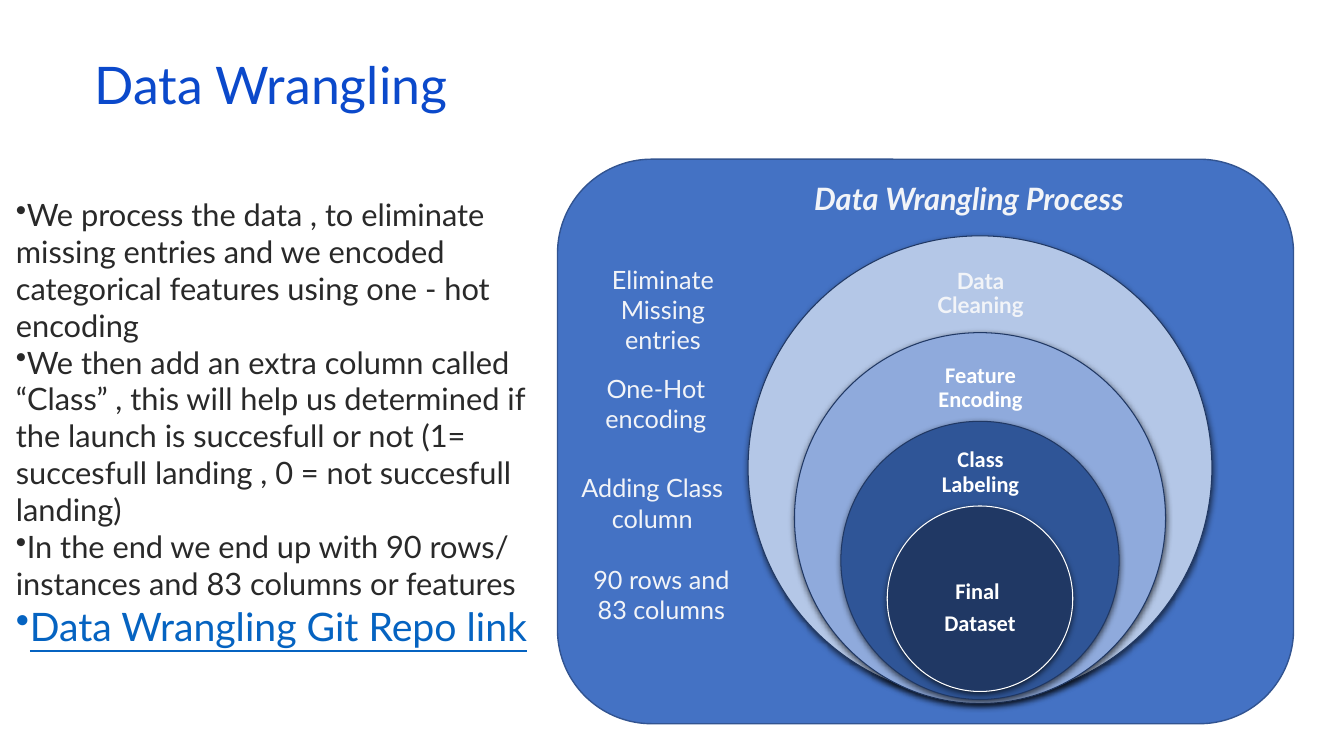
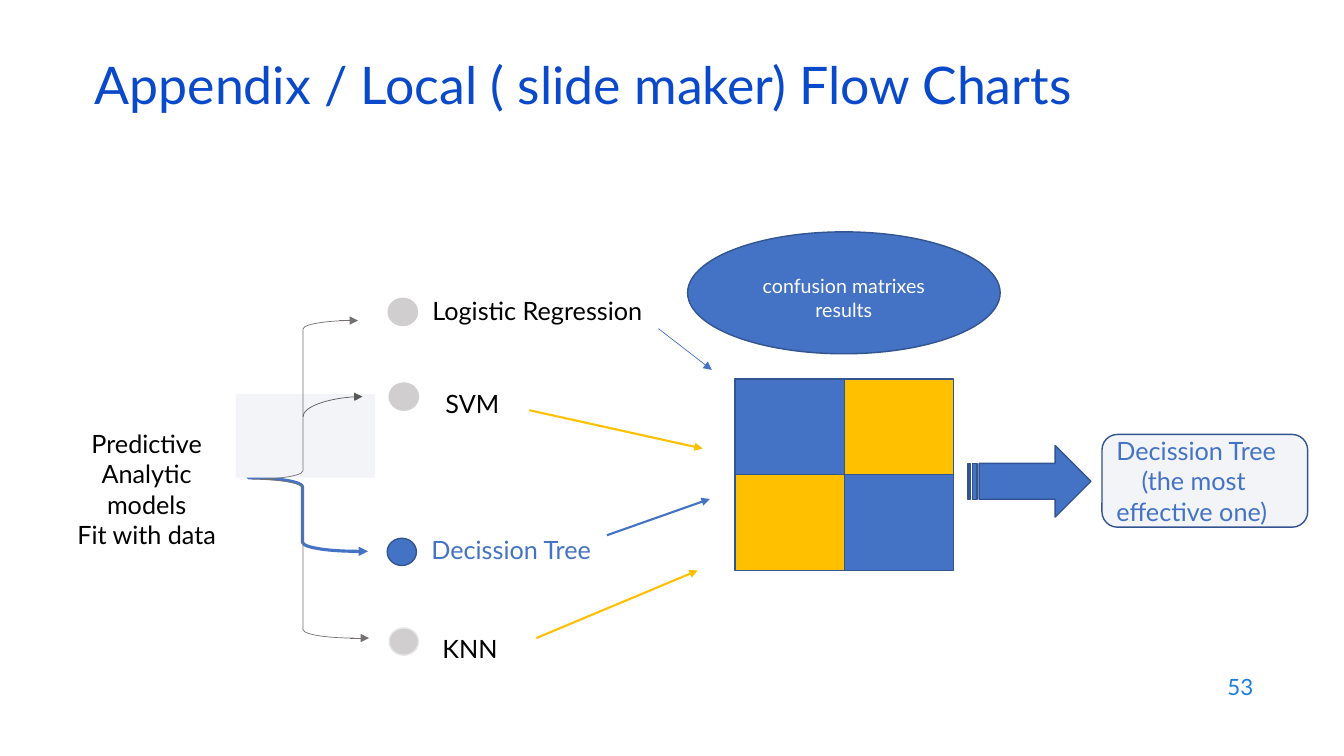
from dataclasses import dataclass
from pptx import Presentation
from pptx.dml.color import RGBColor
from pptx.enum.shapes import MSO_CONNECTOR, MSO_SHAPE
from pptx.enum.text import MSO_ANCHOR, MSO_AUTO_SIZE, PP_ALIGN
from pptx.oxml.ns import qn
from pptx.util import Inches, Pt
from lxml import etree

LEFT, MID, RIGHT = PP_ALIGN.LEFT, PP_ALIGN.CENTER, PP_ALIGN.RIGHT
TOP, CENTER = MSO_ANCHOR.TOP, MSO_ANCHOR.MIDDLE
FIXED = MSO_AUTO_SIZE.NONE
RECT, ROUND = MSO_SHAPE.RECTANGLE, MSO_SHAPE.ROUNDED_RECTANGLE
OVAL, DOT = MSO_SHAPE.OVAL, MSO_SHAPE.FLOWCHART_CONNECTOR
BRACE, ARROW = MSO_SHAPE.LEFT_BRACE, MSO_SHAPE.STRIPED_RIGHT_ARROW
LINE, CURVE = MSO_CONNECTOR.STRAIGHT, MSO_CONNECTOR.CURVE


@dataclass(frozen=True)
class Theme:
    font: str = "Lato"
    alt: str = "Calibri"
    title: str = "0B49CB"
    body: str = "292929"
    link: str = "0563C1"
    number: str = "1C7DDB"
    blue: str = "4472C4"
    edge: str = "325491"
    navy: str = "203864"
    gold: str = "FFC000"
    pale: str = "F2F4F8"
    white: str = "FFFFFF"
    black: str = "000000"
    silver: str = "D0CECE"
    mist: str = "E7E6E6"
    gray: str = "767171"
    dark: str = "595959"
    head: int = 37
    big: int = 28
    text: int = 22
    label: int = 18
    small: int = 16
    note: int = 14


T = Theme()


def color(code):
    return RGBColor.from_string(code)


def style(para, size, tint, font=T.font, bold=False, slant=False):
    for run in para.runs:
        face = run.font
        face.name, face.size = font, Pt(size)
        face.bold, face.italic = bold, slant
        face.color.rgb = color(tint)


def write(shape, lines, size, tint, align=LEFT, anchor=TOP, **look):
    frame = shape.text_frame
    frame.word_wrap = True
    frame.auto_size = FIXED
    frame.vertical_anchor = anchor
    frame.text = lines
    for para in frame.paragraphs:
        para.alignment = align
        style(para, size, tint, **look)
    return frame


def label(slide, box, lines, size, tint, align=LEFT, anchor=TOP, **look):
    shape = slide.shapes.add_textbox(*map(Inches, box))
    return write(shape, lines, size, tint, align, anchor, **look)


def draw(slide, kind, box, fill=None, line=None, width=1):
    shape = slide.shapes.add_shape(kind, *map(Inches, box))
    shape.shadow.inherit = False
    if fill:
        shape.fill.solid()
        shape.fill.fore_color.rgb = color(fill)
    else:
        shape.fill.background()
    if line:
        shape.line.color.rgb = color(line)
        shape.line.width = Pt(width)
    else:
        shape.line.fill.background()
    return shape


def shade(shape):
    effects = shape._element.spPr.find(qn("a:effectLst"))
    outer = etree.SubElement(
        effects, qn("a:outerShdw"), blurRad=str(Pt(4.5)), dist=str(Pt(1.5)),
        dir="5400000", algn="ctr", rotWithShape="0")
    tint = etree.SubElement(outer, qn("a:srgbClr"), val=T.black)
    etree.SubElement(tint, qn("a:alpha"), val="63000")


def link(slide, ends, tint, width, kind=LINE):
    wire = slide.shapes.add_connector(kind, *map(Inches, ends))
    wire.line.color.rgb = color(tint)
    wire.line.width = Pt(width)
    etree.SubElement(wire.line._get_or_add_ln(), qn("a:tailEnd"), type="triangle")
    etree.SubElement(wire._element.spPr, qn("a:effectLst"))
    return wire


def bend(slide, ends, tint, width):
    props = link(slide, ends, tint, width, CURVE)._element.spPr
    props.find(qn("a:xfrm")).set("rot", "5400000")
    props.find(qn("a:prstGeom")).set("prst", "curvedConnector2")


def bullet(para):
    props = para._p.get_or_add_pPr()
    props.set("marL", "0")
    props.set("indent", "0")
    etree.SubElement(props, qn("a:buChar"), char="•")


def ring(slide, top, size, fill, line, name, box, tint, font):
    shape = draw(slide, OVAL, (9.72 - size / 2, top, size, size), fill, line, 0.75)
    shade(shape)
    frame = label(slide, box, name, T.small, tint, MID, CENTER, font=font, bold=True)
    frame.margin_left = frame.margin_right = Inches(0.12)
    frame.margin_top = frame.margin_bottom = Inches(0.12)
    for para in frame.paragraphs:
        para.line_spacing = 0.9
        para.space_after = Pt(5.6)


def start(deck, name):
    slide = deck.slides.add_slide(deck.slide_layouts[5])
    title = slide.shapes.title
    title.left, title.top = Inches(0.84), Inches(0.59)
    title.width, title.height = Inches(11.5), Inches(0.6)
    frame = write(title, name, T.head, T.title, LEFT, CENTER)
    frame.paragraphs[0].line_spacing = 0.8
    return slide


def wrangle(deck):
    slide = start(deck, "Data Wrangling")
    points = (
        "We process the data , to eliminate missing entries and we encoded "
        "categorical features using one - hot encoding",
        "We then add an extra column called “Class” , this will help us determined "
        "if the launch is succesfull or not (1= succesfull landing , "
        "0 = not succesfull landing)",
        "In the end we end up with 90 rows/ instances and 83 columns or features",
        "Data Wrangling Git Repo link",
    )
    frame = label(slide, (0.06, 1.89, 5.33, 4.76), "\n".join(points), T.text, T.body)
    for para in frame.paragraphs:
        bullet(para)
    last = frame.paragraphs[-1]
    style(last, T.big, T.link)
    last.runs[0].font.underline = True

    draw(slide, ROUND, (5.53, 1.58, 7.3, 5.6), T.blue, T.edge)
    rings = (
        (2.34, 4.6, "B4C7E7", T.navy, "Data Cleaning",
         (9.08, 2.57, 1.29, 0.69), T.pale, T.font),
        (3.3, 3.68, "8FAADC", T.navy, "Feature Encoding",
         (9.08, 3.52, 1.29, 0.66), T.white, T.alt),
        (4.18, 2.76, "2F5597", T.navy, "Class Labeling",
         (9.08, 4.38, 1.29, 0.62), T.white, T.alt),
        (5.02, 1.84, T.navy, T.white, "Final \nDataset",
         (9.07, 5.57, 1.3, 0.92), T.white, T.alt),
    )
    for item in rings:
        ring(slide, *item)

    steps = (
        ((5.69, 2.57, 1.77, 0.98), "Eliminate Missing entries"),
        ((5.74, 3.65, 1.53, 0.68), "One-Hot encoding"),
        ((5.53, 4.64, 1.88, 0.68), "Adding Class column"),
        ((5.74, 5.55, 1.64, 0.68), "90 rows and 83 columns"),
    )
    for box, words in steps:
        label(slide, box, words, T.label, T.pale, MID)
    label(slide, (7.58, 1.73, 4.06, 0.46), "Data Wrangling Process",
          T.text, T.pale, MID, bold=True, slant=True)


def matrix(slide, left, top, width, height):
    wide, high = width / 2, height / 2
    for row in range(2):
        for col in range(2):
            fill = T.blue if row == col else T.gold
            box = (left + col * wide, top + row * high, wide, high)
            draw(slide, RECT, box, fill, T.edge)


def flow(deck):
    slide = start(deck, "Appendix / Local ( slide maker) Flow Charts")
    label(slide, (9.53, 6.59, 3, 0.44), "53", T.small, T.number, RIGHT, CENTER)
    label(slide, (0.52, 4.2, 1.87, 1.15),
          "Predictive Analytic models\nFit with data", T.label, T.black, MID)

    models = (
        ("Logistic Regression", (4.19, 2.88), T.black, (3.85, 2.96), T.silver, T.silver),
        ("SVM", (4.32, 3.8), T.black, (3.86, 3.8), T.silver, T.silver),
        ("Decission Tree", (4.18, 5.25), T.blue, (3.84, 5.34), T.blue, T.edge),
        ("KNN", (4.29, 6.23), T.black, (3.86, 6.23), T.silver, T.mist),
    )
    for name, spot, tint, dot, fill, line in models:
        label(slide, (*spot, 2.38, 0.35), name, T.label, tint)
        draw(slide, DOT, (*dot, 0.29, 0.27), fill, line)

    matrix(slide, 7.29, 3.76, 2.17, 1.9)
    for ends, tint, width in (
        ((5.32, 6.33, 6.92, 5.66), T.gold, 1.5),
        ((6.02, 5.31, 7.04, 4.95), T.blue, 1.5),
        ((5.25, 4.07, 6.97, 4.45), T.gold, 1.5),
        ((6.53, 3.26, 7.06, 3.67), T.blue, 0.5),
    ):
        link(slide, ends, tint, width)
    draw(slide, OVAL, (6.82, 2.3, 3.1, 1.21), T.blue, T.edge)
    label(slide, (6.94, 2.67, 2.86, 0.57), "confusion matrixes\nresults",
          T.note, T.white, MID)

    draw(slide, BRACE, (2.46, 4.01, 1.08, 1.46), None, T.blue, 2.25)
    link(slide, (3.46, 5.47, 3.65, 5.47), T.blue, 2.25)
    draw(slide, RECT, (2.34, 3.91, 1.38, 0.83), T.pale)
    draw(slide, BRACE, (2.5, 3.18, 1.01, 3.15), None, T.gray, 0.5)
    for left, top in ((3.36, 3.18), (3.47, 6.33)):
        link(slide, (left, top, left + 0.19, top), T.gray, 0.5)
    bend(slide, (3.4, 4.33, 3.2, 3.74), T.dark, 0.5)

    draw(slide, ARROW, (9.6, 4.42, 1.22, 0.71), T.blue, T.edge)
    best = draw(slide, ROUND, (10.93, 4.31, 2.04, 0.92), T.pale, T.edge)
    frame = write(best, "Decission Tree\n(the most effective one)",
                  T.label, T.blue, LEFT, CENTER)
    props = frame.paragraphs[1]._p.get_or_add_pPr()
    props.set("indent", str(Inches(0.25)))


def main():
    deck = Presentation()
    deck.slide_width, deck.slide_height = Inches(13.33), Inches(7.5)
    wrangle(deck)
    flow(deck)
    deck.save("out.pptx")


if __name__ == "__main__":
    main()
